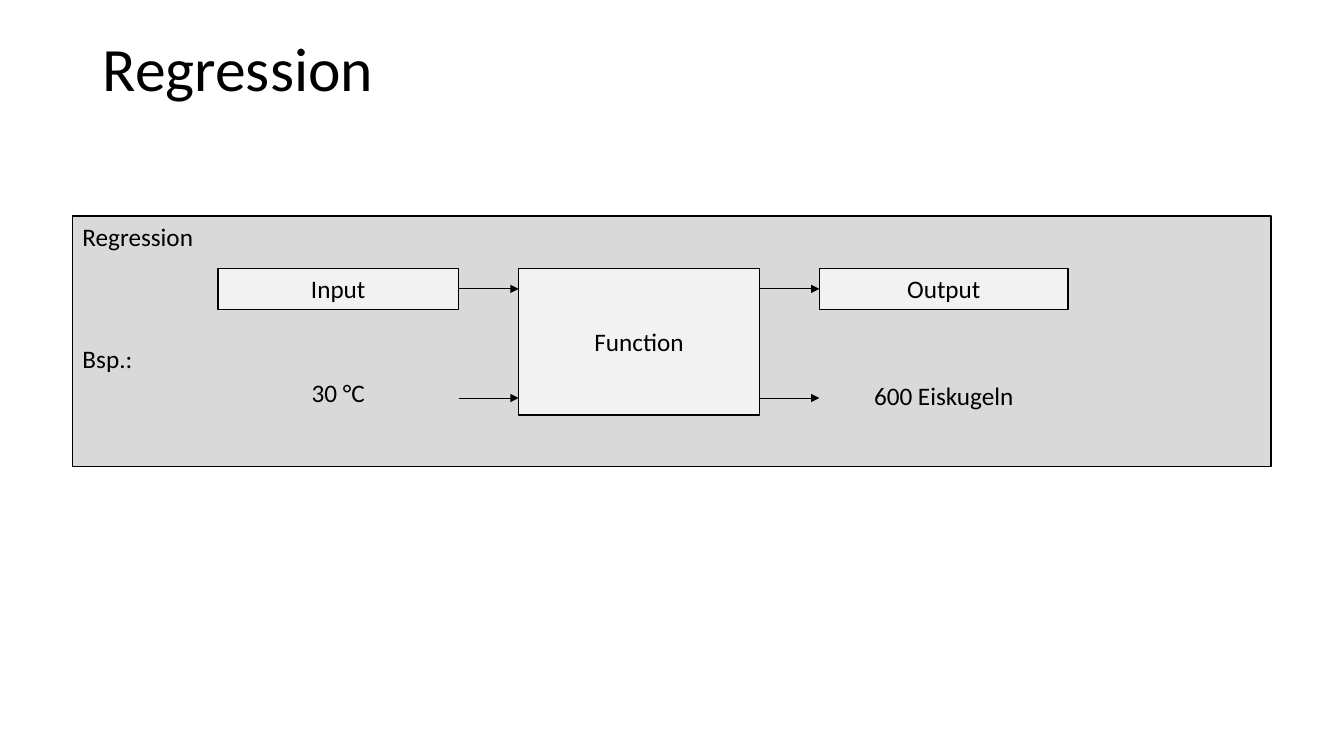
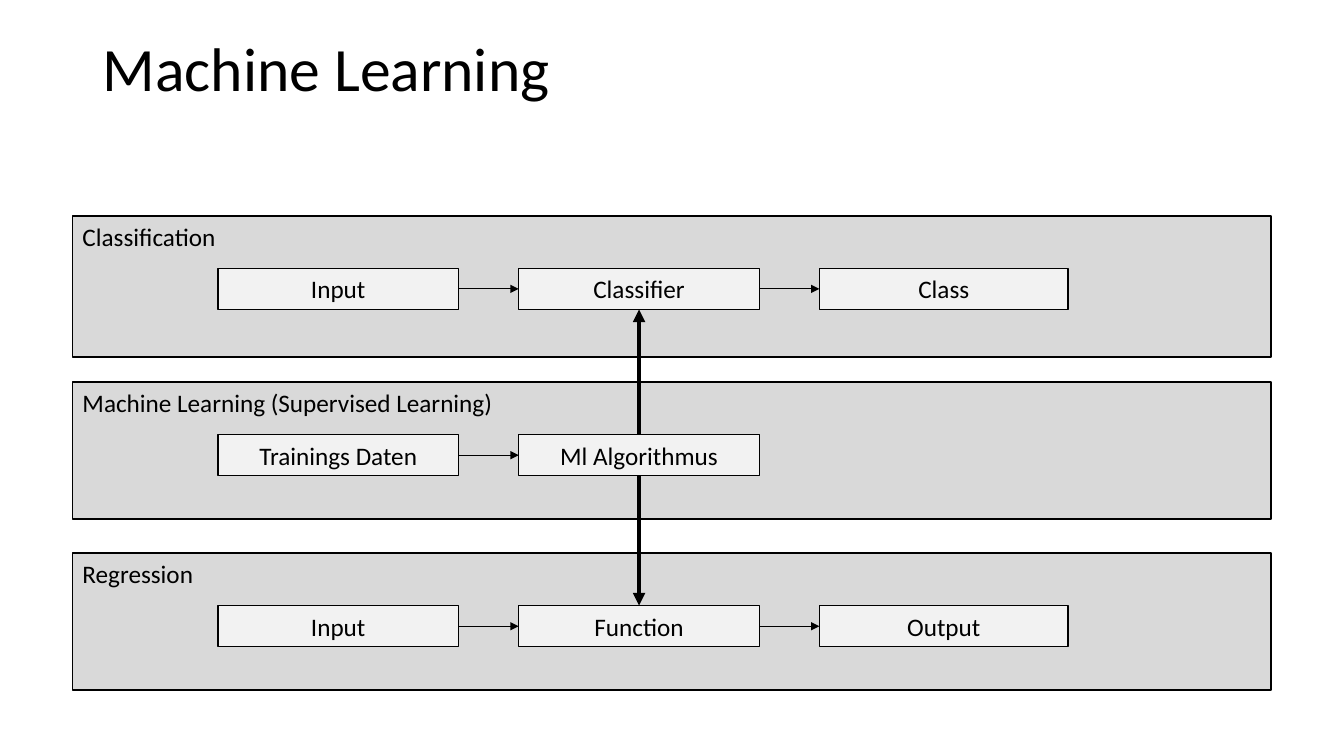
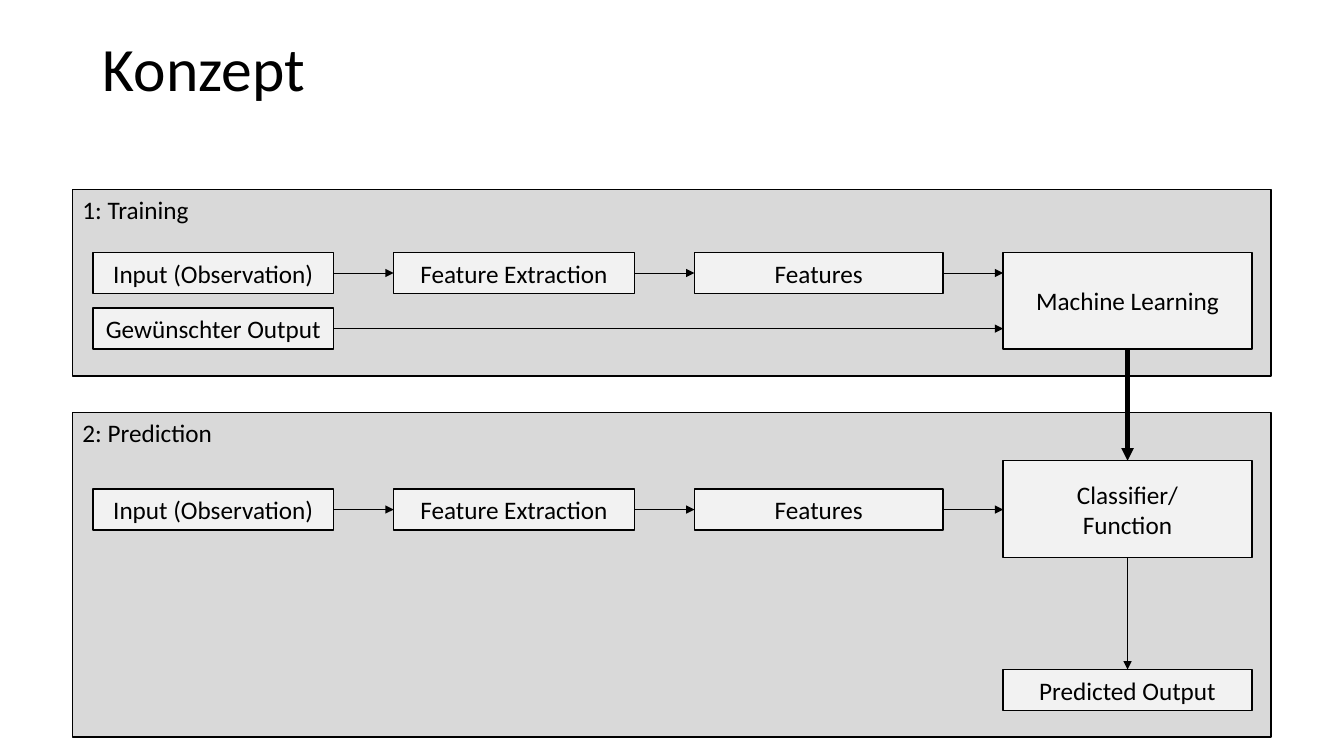
import dataclasses

import lxml.etree
import pptx
import pptx.dml.color
import pptx.enum.shapes
import pptx.enum.text
import pptx.oxml.ns
import pptx.util

Cm = pptx.util.Cm
Pt = pptx.util.Pt
ALIGN = pptx.enum.text.PP_ALIGN
ANCHOR = pptx.enum.text.MSO_ANCHOR

COLORS = {"ink": "000000", "panel": "D9D9D9", "node": "F2F2F2"}
FONT = "Calibri"
TEXT_SIZE = 18
TITLE_SIZE = 44
THIN, THICK = 0.75, 3

# Lengths in centimetres
NODE_WIDTHS = (6.07, 6.07, 6.27, 6.27)
NODE_HEIGHT = 1.04
TALL_HEIGHT = 2.44
GAP = 1.51
PANEL_LEFT, PANEL_WIDTH = 1.83, 30.2
FIRST_NODE = 3.66  # from the panel's left edge to a three-part chain
NODE_DROP = 1.32  # from the panel's top edge to its chain


@dataclasses.dataclass
class Area:
    """A rectangle on the page, in centimetres."""
    left: float
    top: float
    width: float
    height: float

    @property
    def right(self):
        """Return the right edge."""
        return self.left + self.width

    @property
    def bottom(self):
        """Return the lower edge."""
        return self.top + self.height

    @property
    def center(self):
        """Return the horizontal centre."""
        return self.left + self.width / 2

    @property
    def middle(self):
        """Return the vertical centre."""
        return self.top + self.height / 2

    def lengths(self):
        """Return left, top, width and height for a new shape."""
        return [Cm(value) for value in dataclasses.astuple(self)]


TITLE = Area(2.34, 0.53, 29.21, 2.57)


def rgb(name):
    """Return the named colour."""
    return pptx.dml.color.RGBColor.from_string(COLORS[name])


def write(box, lines, size=TEXT_SIZE, align=ALIGN.CENTER, anchor=ANCHOR.MIDDLE):
    """Write one paragraph per line into a box and return the paragraphs."""
    frame = box.text_frame
    frame.word_wrap = True
    frame.vertical_anchor = anchor
    frame.text = "\n".join(lines)
    for para in frame.paragraphs:
        para.alignment = align
        para.font.name = FONT
        para.font.size = Pt(size)
        para.font.color.rgb = rgb("ink")
    return frame.paragraphs


def add_label(page, area, text, **style):
    """Add text without a frame and return its paragraphs."""
    return write(page.shapes.add_textbox(*area.lengths()), [text], **style)


def add_rectangle(page, area, color):
    """Add an outlined rectangle."""
    box = page.shapes.add_shape(
        pptx.enum.shapes.MSO_SHAPE.RECTANGLE, *area.lengths())
    box.shadow.inherit = False
    box.fill.solid()
    box.fill.fore_color.rgb = rgb(color)
    box.line.color.rgb = rgb("ink")
    box.line.width = Pt(1)
    return box


def add_node(page, area, *lines):
    """Add a light box with centred text and return its area."""
    write(add_rectangle(page, area, "node"), lines)
    return area


def add_panel(page, top, height, *lines, gap=0):
    """Add a grey panel, with a gap in points between its lines."""
    area = Area(PANEL_LEFT, top, PANEL_WIDTH, height)
    box = add_rectangle(page, area, "panel")
    for para in write(box, lines, align=ALIGN.LEFT, anchor=ANCHOR.TOP)[1:]:
        para.space_before = Pt(gap)
    return area


def add_arrow(page, start, end, weight=THIN):
    """Add a straight arrow between two points."""
    points = [Cm(value) for value in (*start, *end)]
    arrow = page.shapes.add_connector(
        pptx.enum.shapes.MSO_CONNECTOR.STRAIGHT, *points)
    arrow.line.color.rgb = rgb("ink")
    arrow.line.width = Pt(weight)
    qn = pptx.oxml.ns.qn
    lxml.etree.SubElement(arrow.line._get_or_add_ln(), qn("a:tailEnd"),
                          type="triangle")
    lxml.etree.SubElement(arrow._element.spPr, qn("a:effectLst"))


def link(page, source, target, height=None):
    """Join two areas from left to right, at the source's middle by default."""
    y = source.middle if height is None else height
    add_arrow(page, (source.right, y), (target.left, y))


def link_down(page, source, target, weight=THIN):
    """Join two areas from top to bottom."""
    add_arrow(page, (source.center, source.bottom),
              (source.center, target.top), weight)


def row_areas(left, top, count):
    """Return evenly spaced areas in a row."""
    areas = []
    for width in NODE_WIDTHS[:count]:
        areas.append(Area(left, top, width, NODE_HEIGHT))
        left += width + GAP
    return areas


def add_chain(page, left, top, labels):
    """Add a row of nodes joined by arrows and return their areas."""
    areas = row_areas(left, top, len(labels))
    for area, label in zip(areas, labels):
        add_node(page, area, label)
    for source, target in zip(areas, areas[1:]):
        link(page, source, target)
    return areas


def add_page(deck, title):
    """Add a blank page with a title."""
    page = deck.slides.add_slide(deck.slide_layouts[6])
    for para in add_label(page, TITLE, title, size=TITLE_SIZE, align=ALIGN.LEFT):
        para.line_spacing = 0.9
    return page


def build_regression(deck):
    """Build the regression page with its example."""
    page = add_page(deck, "Regression")
    panel = add_panel(page, 5.44, 6.32, "Regression", "Bsp.:", gap=66)
    source, function, output = row_areas(
        panel.left + FIRST_NODE, panel.top + NODE_DROP, 3)
    function.height = 3.7
    add_node(page, source, "Input")
    add_node(page, output, "Output")
    add_node(page, function, "Function")
    add_label(page, dataclasses.replace(source, top=panel.top + 3.93), "30 °C")
    add_label(page, dataclasses.replace(output, top=panel.top + 4.01),
              "600 Eiskugeln")
    for height in (source.middle, function.bottom - 0.43):
        link(page, source, function, height)
        link(page, function, output, height)


def build_machine_learning(deck):
    """Build the page that sets learning between its two uses."""
    page = add_page(deck, "Machine Learning")
    panels = (
        (5.44, 3.56, "Classification", ("Input", "Classifier", "Class")),
        (9.63, 3.45, "Machine Learning (Supervised Learning)",
         ("Trainings Daten", "Ml Algorithmus")),
        (13.94, 3.45, "Regression", ("Input", "Function", "Output")),
    )
    centers = []
    for top, height, heading, labels in panels:
        panel = add_panel(page, top, height, heading)
        chain = add_chain(page, panel.left + FIRST_NODE,
                          panel.top + NODE_DROP, labels)
        centers.append(chain[1])
    classifier, algorithm, function = centers
    add_arrow(page, (algorithm.center, algorithm.top),
              (algorithm.center, classifier.bottom), THICK)
    link_down(page, algorithm, function, THICK)


def add_features(page, panel, drop, result_drop, *result):
    """Add the feature chain that leads to a tall result node."""
    left, top = panel.left + 0.51, panel.top + drop
    chain = add_chain(page, left, top,
                      ("Input (Observation)", "Feature Extraction", "Features"))
    target = row_areas(left, panel.top + result_drop, 4)[-1]
    target.height = TALL_HEIGHT
    add_node(page, target, *result)
    link(page, chain[-1], target)
    return chain[0], target


def build_concept(deck):
    """Build the page on training and prediction."""
    page = add_page(deck, "Konzept")
    training = add_panel(page, 4.78, 4.7, "1: Training")
    prediction = add_panel(page, 10.39, 8.18, "2: Prediction")

    observation, learning = add_features(
        page, training, 1.58, 1.58, "Machine Learning")
    wanted = dataclasses.replace(
        observation, top=learning.bottom - NODE_HEIGHT)
    add_node(page, wanted, "Gewünschter Output")
    link(page, wanted, learning)

    _, model = add_features(
        page, prediction, 1.93, 1.22, "Classifier/", "Function")
    predicted = dataclasses.replace(
        model, top=prediction.top + 6.48, height=NODE_HEIGHT)
    add_node(page, predicted, "Predicted Output")
    link_down(page, learning, model, THICK)
    link_down(page, model, predicted)


def main():
    """Build and save the deck."""
    deck = pptx.Presentation()
    deck.slide_width, deck.slide_height = Cm(33.87), Cm(19.05)
    build_regression(deck)
    build_machine_learning(deck)
    build_concept(deck)
    deck.save("out.pptx")


main()
